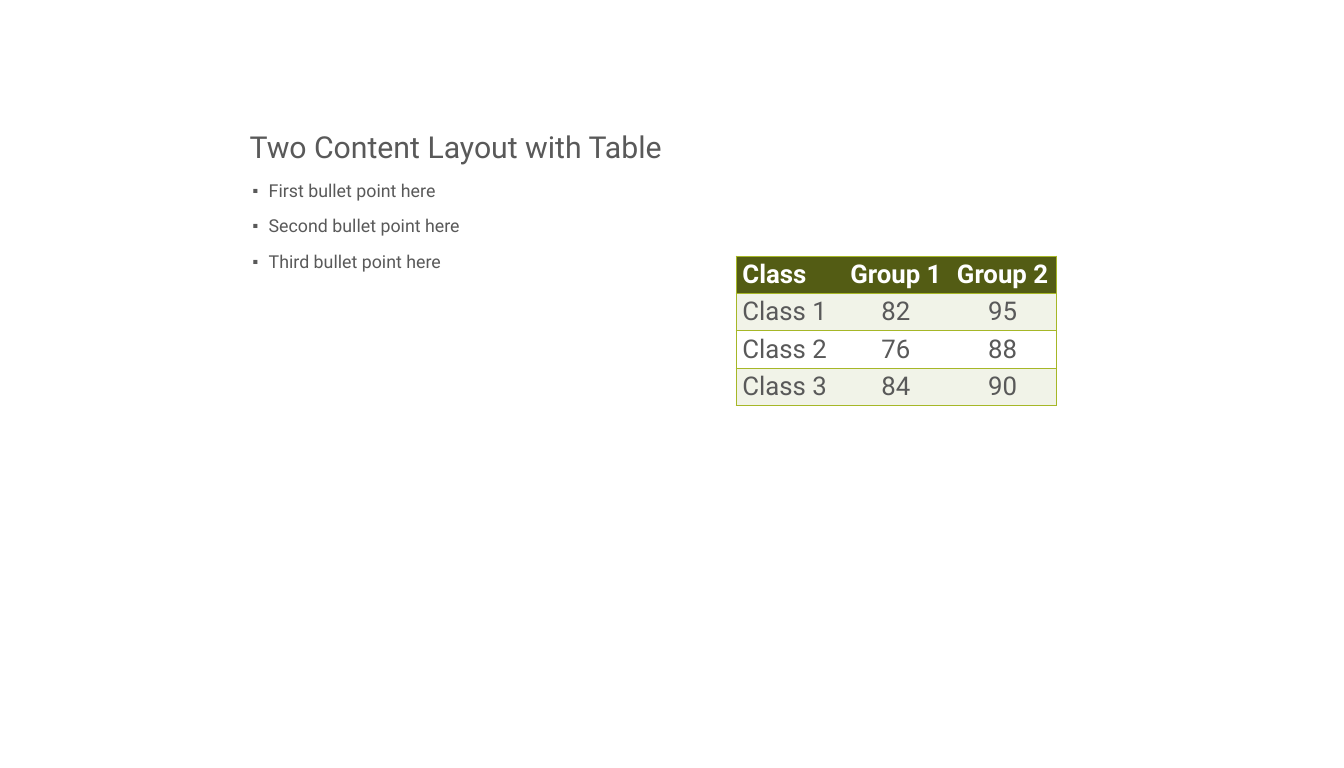
"""Build a slide with a title, three bullet points and a table of class results."""
from lxml import etree
from pptx import Presentation
from pptx.dml.color import RGBColor
from pptx.enum.text import MSO_ANCHOR, PP_ALIGN
from pptx.oxml.ns import qn
from pptx.util import Inches, Pt

LEFT, CENTER = PP_ALIGN.LEFT, PP_ALIGN.CENTER
BOTTOM, MIDDLE, TOP = MSO_ANCHOR.BOTTOM, MSO_ANCHOR.MIDDLE, MSO_ANCHOR.TOP
FONT = "Roboto"
COLORS = {
    "text": "595959",
    "header_text": "FFFFFF",
    "header": "535C14",
    "band": "F1F3E8",
    "plain": "FFFFFF",
    "border": "A6B727",
}
BULLETS = ["First bullet point here", "Second bullet point here", "Third bullet point here"]
ROWS = [
    ["Class", "Group 1", "Group 2"],
    ["Class 1", "82", "95"],
    ["Class 2", "76", "88"],
    ["Class 3", "84", "90"],
]


def write_text(frame, lines, size, color="text", bold=False, align=LEFT,
               anchor=TOP, line_spacing=1.0, space_before=0, bullet=None):
    """Fill a text frame with one formatted paragraph per line."""
    frame.word_wrap = True
    frame.vertical_anchor = anchor
    for index, line in enumerate(lines):
        paragraph = frame.add_paragraph() if index else frame.paragraphs[0]
        paragraph.alignment = align
        paragraph.line_spacing = line_spacing
        paragraph.space_before = Pt(space_before if index else 0)
        if bullet:
            properties = paragraph._p.get_or_add_pPr()
            properties.set("marL", str(Inches(0.3)))
            properties.set("indent", str(Inches(-0.25)))
            etree.SubElement(properties, qn("a:buSzPct"), val="80000")
            etree.SubElement(properties, qn("a:buFont"), typeface=FONT)
            etree.SubElement(properties, qn("a:buChar"), char=bullet)
        run = paragraph.add_run()
        run.text = line
        run.font.name = FONT
        run.font.size = Pt(size)
        run.font.bold = bold
        run.font.color.rgb = RGBColor.from_string(COLORS[color])


def set_borders(cell, visible):
    """Draw the visible sides of a cell and clear the others."""
    properties = cell._tc.get_or_add_tcPr()
    for side in "LRTB":
        line = etree.SubElement(properties, qn(f"a:ln{side}"), w=str(Pt(1)))
        if side in visible:
            fill = etree.SubElement(line, qn("a:solidFill"))
            etree.SubElement(fill, qn("a:srgbClr"), val=COLORS["border"])
        else:
            etree.SubElement(line, qn("a:noFill"))


presentation = Presentation()
presentation.slide_width = Inches(21)
presentation.slide_height = Inches(12)
slide = presentation.slides.add_slide(presentation.slide_layouts[5])

title = slide.shapes.title
title.left, title.top = Inches(3.8), Inches(0.53)
title.width, title.height = Inches(16.14), Inches(2.1)
write_text(title.text_frame, ["Two Content Layout with Table"], size=34,
           anchor=BOTTOM, line_spacing=0.9)

body = slide.shapes.add_textbox(Inches(3.8), Inches(2.8), Inches(7.88), Inches(7.2))
write_text(body.text_frame, BULLETS, size=20, line_spacing=0.9, space_before=18, bullet="▪")

table = slide.shapes.add_table(len(ROWS), len(ROWS[0]), Inches(11.5), Inches(4),
                               Inches(5), Inches(2.28)).table
last_column = len(ROWS[0]) - 1
for row_index, values in enumerate(ROWS):
    is_header = row_index == 0
    fill_name = "header" if is_header else "band" if row_index % 2 else "plain"
    for column_index, value in enumerate(values):
        cell = table.cell(row_index, column_index)
        outer_sides = {0: "L", last_column: "R"}.get(column_index, "")
        set_borders(cell, "TB" + outer_sides)
        cell.fill.solid()
        cell.fill.fore_color.rgb = RGBColor.from_string(COLORS[fill_name])
        cell.vertical_anchor = MIDDLE
        write_text(cell.text_frame, [value], size=29, bold=is_header,
                   color="header_text" if is_header else "text",
                   align=CENTER if column_index else LEFT, anchor=MIDDLE)

presentation.save("out.pptx")
